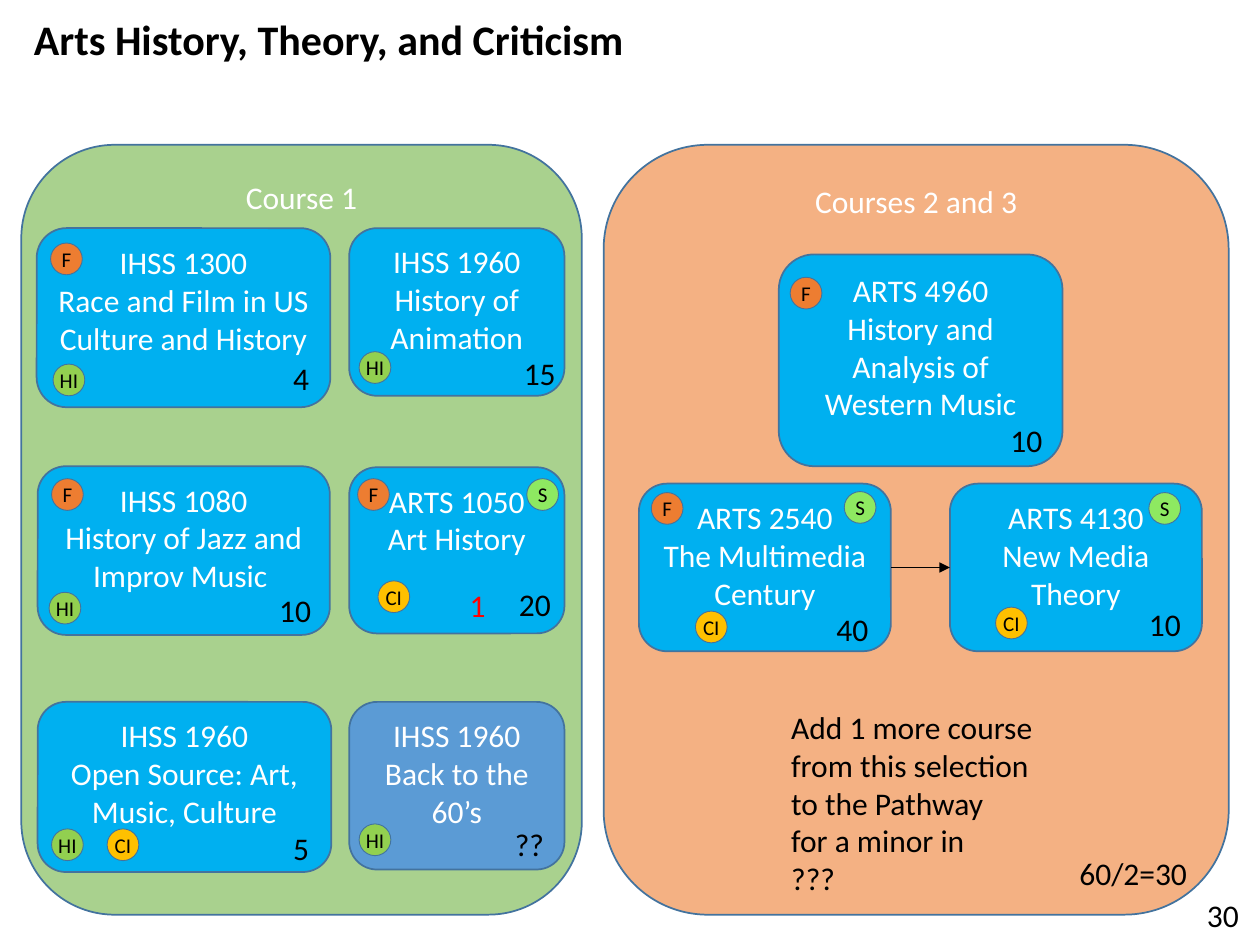
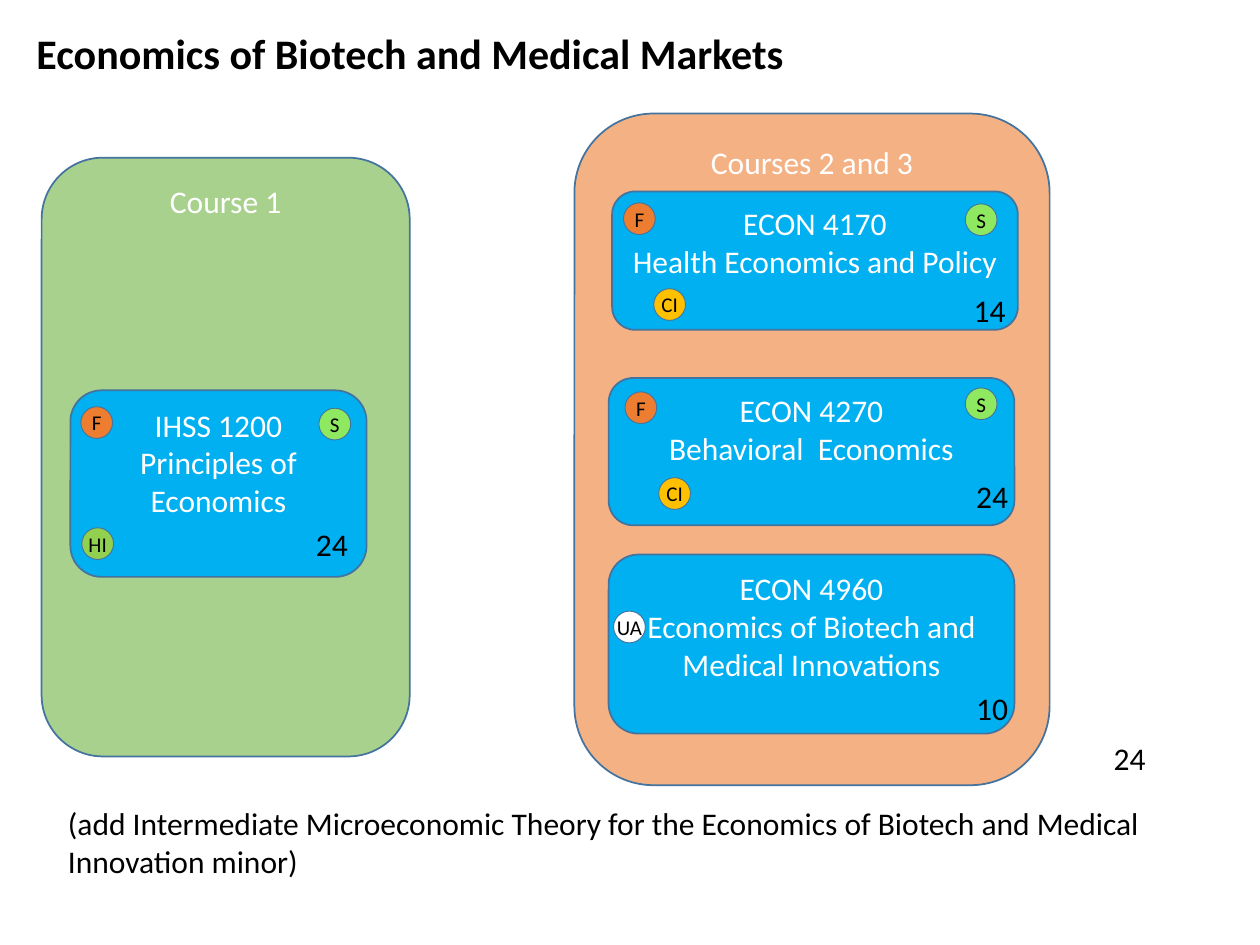
from lxml import etree
from pptx import Presentation
from pptx.dml.color import RGBColor
from pptx.enum import shapes, text
from pptx.oxml.ns import qn
from pptx.util import Cm, Pt

BLACK = RGBColor(0x00, 0x00, 0x00)
WHITE = RGBColor(0xFF, 0xFF, 0xFF)
RED = RGBColor(0xFF, 0x00, 0x00)
OUTLINE = RGBColor(0x43, 0x73, 0x9E)
GREEN = RGBColor(0xA9, 0xD1, 0x8E)
PEACH = RGBColor(0xF4, 0xB1, 0x83)
SKY = RGBColor(0x00, 0xB0, 0xF0)
STEEL = RGBColor(0x5B, 0x9B, 0xD5)
BADGE_FILLS = {
    "F": RGBColor(0xED, 0x7D, 0x31),
    "HI": RGBColor(0x92, 0xD0, 0x50),
    "CI": RGBColor(0xFF, 0xC0, 0x00),
    "S": RGBColor(0x8E, 0xE9, 0x61),
    "UA": WHITE,
}
FONT = "Calibri"
BADGE_SIZE = 0.64
LINE_HEIGHT = 0.76

# All positions are in centimetres: boxes are (left, top, width, height),
# badges are (label, left, top), seats are (number, left, top).
ARTS = {
    "title": ("Arts History, Theory, and Criticism", (0.43, 0.15, 12.52, 1.27)),
    "panels": [
        ("Courses 2 and 3", PEACH, (12.17, 2.92, 12.6, 15.52)),
        ("Course 1", GREEN, (0.43, 2.92, 11.3, 15.52)),
    ],
    "courses": [
        {"code": "IHSS 1300", "name": "Race and Film in US Culture and History",
         "box": (0.74, 4.6, 5.92, 3.61), "seats": ("4", 5.66, 7.11),
         "badges": [("F", 1.02, 4.9), ("HI", 1.07, 7.34)]},
        {"code": "IHSS 1960", "name": "History of Animation",
         "box": (7.04, 4.6, 4.34, 3.38), "seats": ("15", 10.31, 7.01),
         "badges": [("HI", 7.24, 7.09)]},
        {"code": "IHSS 1080", "name": "History of Jazz and Improv Music ",
         "box": (0.76, 9.4, 5.89, 3.4), "seats": ("10", 5.38, 11.79),
         "badges": [("F", 1.04, 9.65), ("HI", 0.99, 11.94)]},
        {"code": "ARTS 1050", "name": "Art History",
         "box": (7.04, 9.42, 4.34, 3.35), "seats": ("20", 10.21, 11.66),
         "badges": [("F", 7.21, 9.65), ("S", 10.62, 9.65), ("CI", 7.62, 11.71)]},
        {"code": "IHSS 1960", "name": "Open Source: Art, Music, Culture",
         "box": (0.76, 14.15, 5.92, 3.43), "seats": ("5", 5.66, 16.59),
         "badges": [("HI", 1.04, 16.71), ("CI", 2.16, 16.71)]},
        {"code": "IHSS 1960", "name": "Back to the 60’s", "fill": STEEL,
         "box": (7.04, 14.15, 4.34, 3.38), "seats": ("??", 10.13, 16.51),
         "badges": [("HI", 7.24, 16.61)]},
        {"code": "ARTS 4960", "name": "History and Analysis of Western Music",
         "box": (15.7, 5.13, 5.72, 4.27), "seats": ("10", 20.12, 8.36),
         "badges": [("F", 15.93, 5.59)]},
        {"code": "ARTS 2540", "name": "The Multimedia Century",
         "box": (12.88, 9.75, 5.08, 3.38), "seats": ("40", 16.61, 12.17),
         "badges": [("F", 13.13, 9.93), ("S", 17.02, 9.91), ("CI", 14.02, 12.32)]},
        {"code": "ARTS 4130", "name": "New Media Theory",
         "box": (19.15, 9.75, 5.08, 3.38), "seats": ("10", 22.91, 12.07),
         "badges": [("S", 23.16, 9.93), ("CI", 20.07, 12.24)]},
    ],
    "sequence": [("ARTS 2540", "ARTS 4130")],
    "note": (["Add 1 more course", "from this selection", "to the Pathway",
              "for a minor in", "???"], 15.7, 14.15, 5.51),
    "totals": [("60/2=30", 21.51, 17.09), ("30", 24.08, 17.93)],
    "alerts": [("1", 9.22, 11.68)],
}
ECONOMICS = {
    "title": ("Economics of Biotech and Medical Markets", (0.48, 0.43, 15.72, 1.27)),
    "panels": [
        ("Courses 2 and 3", PEACH, (11.58, 2.29, 9.58, 13.54)),
        ("Course 1", GREEN, (0.84, 3.18, 7.42, 12.07)),
    ],
    "courses": [
        {"code": "ECON 4170", "name": "Health Economics and Policy",
         "box": (12.34, 3.86, 8.18, 2.79), "seats": ("14", 19.38, 5.74),
         "badges": [("F", 12.57, 4.09), ("S", 19.46, 4.11), ("CI", 13.18, 5.82)]},
        {"code": "ECON 4270", "name": "Behavioral  Economics",
         "box": (12.27, 7.62, 8.18, 2.97), "seats": ("24", 19.43, 9.5),
         "badges": [("F", 12.6, 7.9), ("S", 19.46, 7.82), ("CI", 13.28, 9.63)]},
        {"code": "ECON 4960", "name": "Economics of Biotech and Medical Innovations",
         "box": (12.27, 11.18, 8.18, 3.61), "seats": ("10", 19.43, 13.77),
         "badges": [("UA", 12.37, 12.32)]},
        {"code": "IHSS 1200", "name": "Principles of Economics",
         "box": (1.42, 7.87, 5.97, 3.76), "seats": ("24", 6.12, 10.46),
         "badges": [("F", 1.63, 8.2), ("S", 6.43, 8.23), ("HI", 1.65, 10.64)]},
    ],
    "sequence": [],
    "note": (["(add Intermediate Microeconomic Theory for the Economics of Biotech "
              "and Medical Innovation minor)"], 1.12, 16.08, 24.13),
    "totals": [("24", 22.2, 14.78)],
    "alerts": [],
}


def cm(box):
    return [Cm(v) for v in box]


def write(sp, lines, color, size=18, bold=False, align=text.PP_ALIGN.LEFT,
          **frame):
    """Fill a shape with one paragraph per line; frame holds text frame settings."""
    tf = sp.text_frame
    settings = {"word_wrap": True, "vertical_anchor": text.MSO_ANCHOR.TOP, **frame}
    for key, value in settings.items():
        setattr(tf, key, value)
    for i, line in enumerate(lines):
        p = tf.add_paragraph() if i else tf.paragraphs[0]
        p.alignment = align
        r = p.add_run()
        r.text = line
        for key, value in {"name": FONT, "size": Pt(size), "bold": bold}.items():
            setattr(r.font, key, value)
        r.font.color.rgb = color


def add_filled(s, kind, box, fill, line_width):
    sp = s.shapes.add_shape(kind, *cm(box))
    sp.shadow.inherit = False
    sp.fill.solid()
    sp.fill.fore_color.rgb = fill
    sp.line.color.rgb = OUTLINE
    sp.line.width = Pt(line_width)
    return sp


def add_rounded(s, lines, fill, box):
    sp = add_filled(s, shapes.MSO_SHAPE.ROUNDED_RECTANGLE, box, fill, 1)
    write(sp, lines, WHITE, align=text.PP_ALIGN.CENTER)
    return sp


def add_badge(s, label, left, top):
    box = (left, top, BADGE_SIZE, BADGE_SIZE)
    sp = add_filled(s, shapes.MSO_SHAPE.OVAL, box, BADGE_FILLS[label], 0.5)
    margins = {f"margin_{side}": 0 for side in ("left", "right", "top", "bottom")}
    write(sp, [label], BLACK, size=12, align=text.PP_ALIGN.CENTER, word_wrap=False,
          vertical_anchor=text.MSO_ANCHOR.MIDDLE, **margins)


def add_number(s, value, left, top, color=BLACK):
    width = 0.51 + 0.33 * len(value)
    sp = s.shapes.add_textbox(*cm((left, top, width, 1.02)))
    write(sp, [value], color, word_wrap=False)


def add_arrow(s, start, end):
    line = s.shapes.add_connector(shapes.MSO_CONNECTOR.STRAIGHT, 0, 0, 0, 0)
    line.begin_connect(start, 3)
    line.end_connect(end, 1)
    line.line.color.rgb = BLACK
    line.line.width = Pt(0.5)
    ln = line.line._get_or_add_ln()
    etree.SubElement(ln, qn("a:tailEnd"), type="triangle")
    etree.SubElement(line._element.spPr, qn("a:effectLst"))


def add_pathway(prs, pathway):
    s = prs.slides.add_slide(prs.slide_layouts[5])
    title, box = pathway["title"]
    sp = s.shapes.title
    sp.left, sp.top, sp.width, sp.height = cm(box)
    write(sp, [title], BLACK, size=24, bold=True, word_wrap=False,
          auto_size=text.MSO_AUTO_SIZE.NONE)

    for label, fill, box in pathway["panels"]:
        add_rounded(s, [label], fill, box)

    cards = {}
    for course in pathway["courses"]:
        cards[course["code"]] = add_rounded(
            s, [course["code"], course["name"]], course.get("fill", SKY), course["box"])
        for badge in course["badges"]:
            add_badge(s, *badge)
        add_number(s, *course["seats"])

    for first, then in pathway["sequence"]:
        add_arrow(s, cards[first], cards[then])

    lines, left, top, width = pathway["note"]
    height = 0.25 + LINE_HEIGHT * max(len(lines), 2)
    write(s.shapes.add_textbox(*cm((left, top, width, height))), lines, BLACK)
    for total in pathway["totals"]:
        add_number(s, *total)
    for alert in pathway["alerts"]:
        add_number(s, *alert, color=RED)


def main():
    prs = Presentation()
    prs.slide_width, prs.slide_height = Cm(25.4), Cm(19.05)
    for pathway in (ARTS, ECONOMICS):
        add_pathway(prs, pathway)
    prs.save("out.pptx")


if __name__ == "__main__":
    main()
